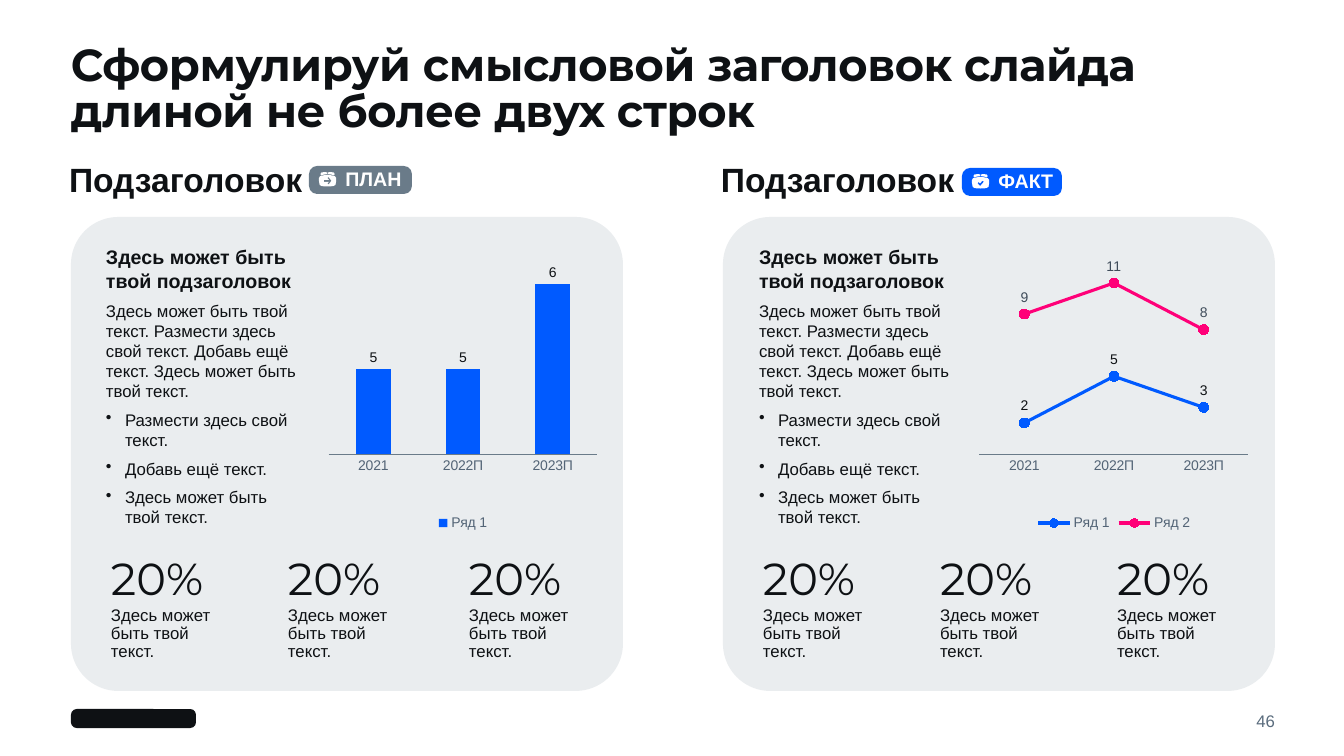
from dataclasses import dataclass
from lxml import etree
from pptx import Presentation
from pptx.chart.data import CategoryChartData
from pptx.dml.color import RGBColor
from pptx.enum.chart import XL_CHART_TYPE, XL_LABEL_POSITION, XL_LEGEND_POSITION, XL_MARKER_STYLE, XL_TICK_MARK
from pptx.enum.shapes import MSO_SHAPE
from pptx.enum.text import MSO_ANCHOR, MSO_AUTO_SIZE, PP_ALIGN
from pptx.oxml import parse_xml
from pptx.oxml.ns import nsdecls, qn
from pptx.util import Pt

ROUND = MSO_SHAPE.ROUNDED_RECTANGLE
BARS, LINES = XL_CHART_TYPE.COLUMN_CLUSTERED, XL_CHART_TYPE.LINE_MARKERS
OUTER, ABOVE = XL_LABEL_POSITION.OUTSIDE_END, XL_LABEL_POSITION.ABOVE
BOTTOM, CIRCLE, NO_TICK = XL_LEGEND_POSITION.BOTTOM, XL_MARKER_STYLE.CIRCLE, XL_TICK_MARK.NONE
TOP, MIDDLE = MSO_ANCHOR.TOP, MSO_ANCHOR.MIDDLE
LEFT, RIGHT = PP_ALIGN.LEFT, PP_ALIGN.RIGHT
NO_FIT = MSO_AUTO_SIZE.NONE
SCALE = 914400 / 100.8


@dataclass(frozen=True)
class Theme:
    ink: str = "0E1114"
    panel: str = "EAEDEF"
    slate: str = "6A7B89"
    muted: str = "536476"
    page: str = "5A6C7D"
    dim: str = "3F4C5A"
    blue: str = "005AFF"
    pink: str = "FF0078"
    white: str = "FFFFFF"
    sans: str = "Arial"
    head: str = "Montserrat"
    big: int = 32
    sub: int = 24
    lead: int = 14
    body: int = 12
    small: int = 10


THEME = Theme()


@dataclass(frozen=True)
class Line:
    text: str
    size: int
    color: str = THEME.ink
    font: str = THEME.sans
    bold: bool = False
    after: int = 0
    lead: float = 1.0
    bullet: bool = False
    align: PP_ALIGN = LEFT


@dataclass(frozen=True)
class Row:
    name: str
    vals: tuple
    color: str
    label: str = THEME.ink


@dataclass(frozen=True)
class Badge:
    text: str
    left: int
    top: int
    width: int
    color: str
    mark: tuple


@dataclass(frozen=True)
class Side:
    left: int
    copy: int
    plot: int
    stats: tuple
    badge: Badge
    kind: XL_CHART_TYPE
    rows: tuple
    low: float
    high: float


ARROW = ((50, 78), (100, 78), (85, 60), (95, 50), (125, 88), (95, 126), (85, 116), (100, 98), (50, 98))
CHECK = ((55, 92), (66, 80), (80, 94), (106, 66), (119, 78), (82, 120))
BOX = ((10, 42), (45, 33), (85, 30), (125, 33), (160, 42), (172, 60), (172, 90), (165, 130), (140, 142),
       (85, 145), (30, 142), (7, 130), (0, 90), (0, 60))
LID = ((60, 0), (82, 5), (82, 22), (60, 24), (20, 32), (15, 20), (25, 5))
FLAP = tuple((172 - x, y) for x, y in LID)

SIDES = (
    Side(71, 106, 328, (111, 288, 469), Badge("ПЛАН", 309, 166, 103, THEME.slate, ARROW),
         BARS, (Row("Ряд 1", (5, 5, 6), THEME.blue),), 4, 6.2),
    Side(723, 759, 979, (763, 940, 1117), Badge("ФАКТ", 962, 168, 100, THEME.blue, CHECK),
         LINES, (Row("Ряд 1", (2, 5, 3), THEME.blue),
                 Row("Ряд 2", (9, 11, 8), THEME.pink, THEME.dim)), 0, 12),
)
COPY = (
    Line("Здесь может быть твой подзаголовок", THEME.lead, bold=True, after=6),
    Line("Здесь может быть твой текст. Размести здесь свой текст. Добавь ещё текст. "
         "Здесь может быть твой текст.", THEME.body, after=6),
    *(Line(text, THEME.body, after=6, bullet=True) for text in (
        "Размести здесь свой текст.", "Добавь ещё текст.", "Здесь может быть твой текст.")),
)


def px(*vals: float) -> list:
    return [round(val * SCALE) for val in vals]


def rgb(color: str) -> RGBColor:
    return RGBColor.from_string(color)


def ink(font, size: int, color: str, name: str = THEME.sans, bold: bool = False) -> None:
    font.size, font.name, font.bold = Pt(size), name, bold
    font.color.rgb = rgb(color)


def write(frame, lines: tuple, anchor=TOP, pad: tuple = (0, 0, 0, 0), wrap: bool = True) -> None:
    frame.word_wrap, frame.auto_size, frame.vertical_anchor = wrap, NO_FIT, anchor
    frame.margin_left, frame.margin_top, frame.margin_right, frame.margin_bottom = px(*pad)
    frame.text = "\n".join(line.text for line in lines)
    for para, line in zip(frame.paragraphs, lines):
        para.alignment, para.line_spacing = line.align, line.lead
        para.space_before, para.space_after = Pt(0), Pt(line.after)
        if line.bullet:
            props = para._p.get_or_add_pPr()
            step = px(19)[0]
            props.set("marL", str(step))
            props.set("indent", str(-step))
            etree.SubElement(props, qn("a:buChar")).set("char", "•")
        for run in para.runs:
            ink(run.font, line.size, line.color, line.font, line.bold)


def text(slide, box: tuple, *lines: Line, anchor=TOP) -> None:
    write(slide.shapes.add_textbox(*px(*box)).text_frame, lines, anchor)


def paint(shape, color: str) -> None:
    shape.shadow.inherit = False
    shape.fill.solid()
    shape.fill.fore_color.rgb = rgb(color)
    shape.line.fill.background()


def block(slide, box: tuple, color: str, curve: float):
    shape = slide.shapes.add_shape(ROUND, *px(*box))
    shape.adjustments[0] = curve
    paint(shape, color)
    return shape


def tag(slide, badge: Badge) -> None:
    pill = block(slide, (badge.left, badge.top, badge.width, 28), badge.color, 0.29)
    line = Line(badge.text, THEME.lead, THEME.white, bold=True)
    write(pill.text_frame, (line,), MIDDLE, (34, 2, 8, 4), False)
    pen = slide.shapes.build_freeform(*BOX[0], scale=SCALE / 10)
    pen.add_line_segments(BOX[1:], close=True)
    for part in (badge.mark, LID, FLAP):
        pen.move_to(*part[0])
        pen.add_line_segments(part[1:], close=True)
    paint(pen.convert_to_shape(*px(badge.left + 10, badge.top + 6)), THEME.white)


def graph(slide, side: Side) -> None:
    data = CategoryChartData(number_format="0")
    data.categories = ("2021", "2022П", "2023П")
    for row in side.rows:
        data.add_series(row.name, row.vals)
    chart = slide.shapes.add_chart(side.kind, *px(side.plot, 224, 270, 311), data).chart
    ink(chart.font, THEME.small, THEME.ink)
    chart.has_title, chart.has_legend = False, True
    chart.legend.position, chart.legend.include_in_layout = BOTTOM, False
    ink(chart.legend.font, THEME.small, THEME.muted)
    axis = chart.category_axis
    axis.major_tick_mark = axis.minor_tick_mark = NO_TICK
    axis.has_major_gridlines = False
    ink(axis.tick_labels.font, THEME.small, THEME.muted)
    axis.format.line.color.rgb, axis.format.line.width = rgb(THEME.slate), Pt(0.75)
    scale = chart.value_axis
    scale.has_major_gridlines = scale.visible = False
    scale.minimum_scale, scale.maximum_scale = side.low, side.high
    plot = chart.plots[0]
    plot.vary_by_categories = False
    if side.kind == BARS:
        plot.gap_width = 160
    for series, row in zip(plot.series, side.rows):
        fill = series.format.fill
        if side.kind == LINES:
            series.smooth = False
            series.format.line.color.rgb, series.format.line.width = rgb(row.color), Pt(2.25)
            series.marker.style, series.marker.size = CIRCLE, 7
            series.marker.format.line.color.rgb = rgb(row.color)
            fill = series.marker.format.fill
        fill.solid()
        fill.fore_color.rgb = rgb(row.color)
        labels = series.data_labels
        labels.show_value, labels.position = True, OUTER if side.kind == BARS else ABOVE
        labels.number_format, labels.number_format_is_linked = "0", False
        ink(labels.font, THEME.small, row.label)
    area = chart._chartSpace.chart.plotArea
    for old in area.findall(qn("c:layout")):
        area.remove(old)
    spots = (("layoutTarget", "inner"), ("xMode", "edge"), ("yMode", "edge"),
             ("x", 0), ("y", 0.14), ("w", 1), ("h", 0.6))
    parts = "".join(f'<c:{name} val="{val}"/>' for name, val in spots)
    area.insert(0, parse_xml(f'<c:layout {nsdecls("c")}><c:manualLayout>{parts}</c:manualLayout></c:layout>'))


def draw(slide, side: Side) -> None:
    block(slide, (side.left, 217, 552, 474), THEME.panel, 0.1)
    text(slide, (side.left - 2, 159, 373, 52), Line("Подзаголовок", THEME.sub, bold=True, after=8))
    tag(slide, side.badge)
    text(slide, (side.copy, 245, 196, 357), *COPY)
    graph(slide, side)
    for left in side.stats:
        text(slide, (left, 551, 146, 64), Line("20%", THEME.big, font=THEME.head))
        text(slide, (left, 607, 111, 64), Line("Здесь может быть твой текст.", THEME.body, after=6, lead=0.9))


def main() -> None:
    deck = Presentation()
    deck.slide_width, deck.slide_height = px(1344, 756)
    slide = deck.slides.add_slide(deck.slide_layouts[5])
    title = slide.shapes.title
    title.left, title.top, title.width, title.height = px(71, 45, 1203, 76)
    write(title.text_frame, (Line("Сформулируй смысловой заголовок слайда длиной не более двух строк",
                                  THEME.big, font=THEME.head, bold=True, lead=0.85),))
    title.text_frame.paragraphs[0].runs[0].font._element.set("spc", "-30")
    block(slide, (71, 709, 125, 19), THEME.ink, 0.3)
    text(slide, (1175, 709, 100, 24), Line("46", THEME.body, THEME.page, align=RIGHT), anchor=MIDDLE)
    for side in SIDES:
        draw(slide, side)
    deck.save("out.pptx")


if __name__ == "__main__":
    main()
